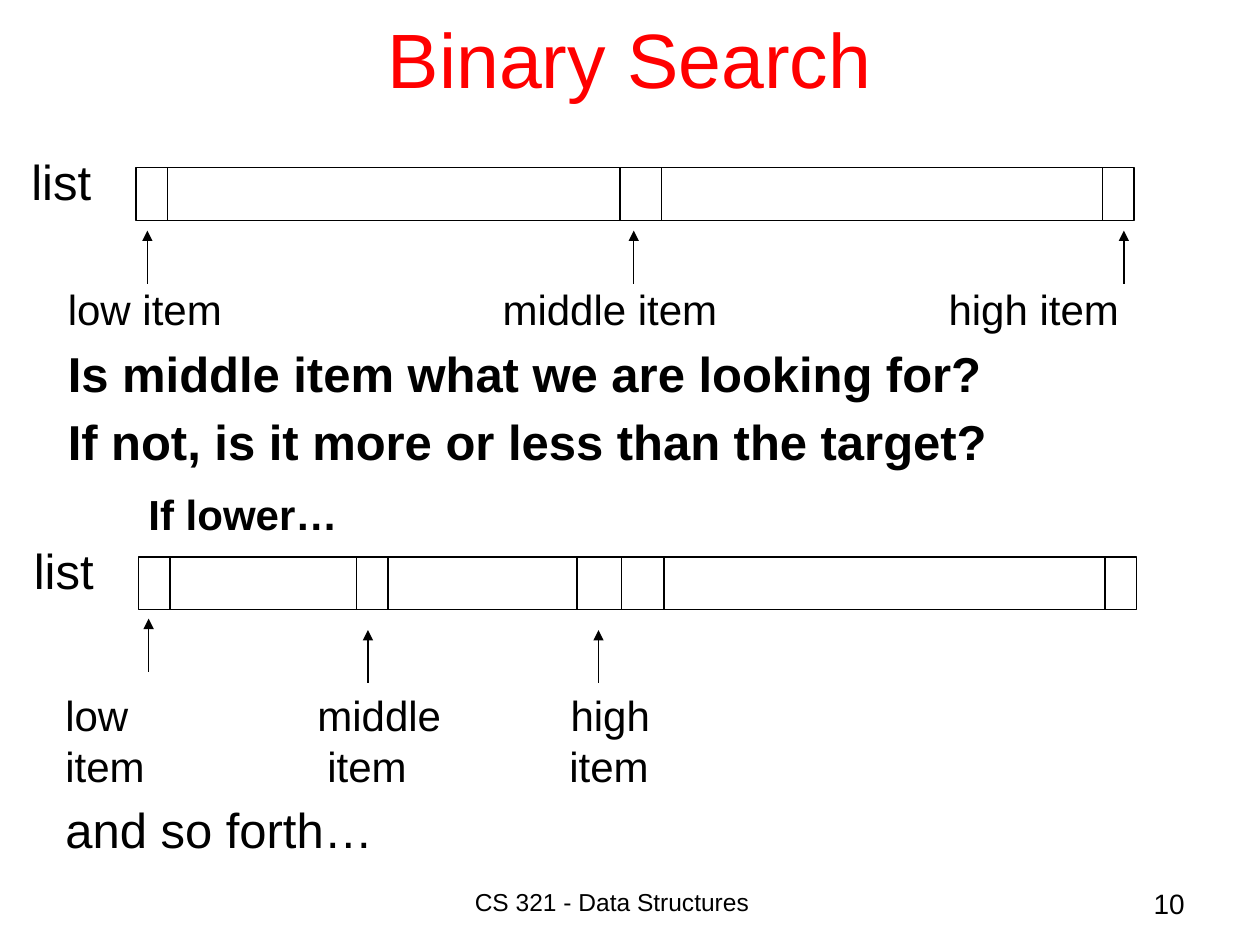
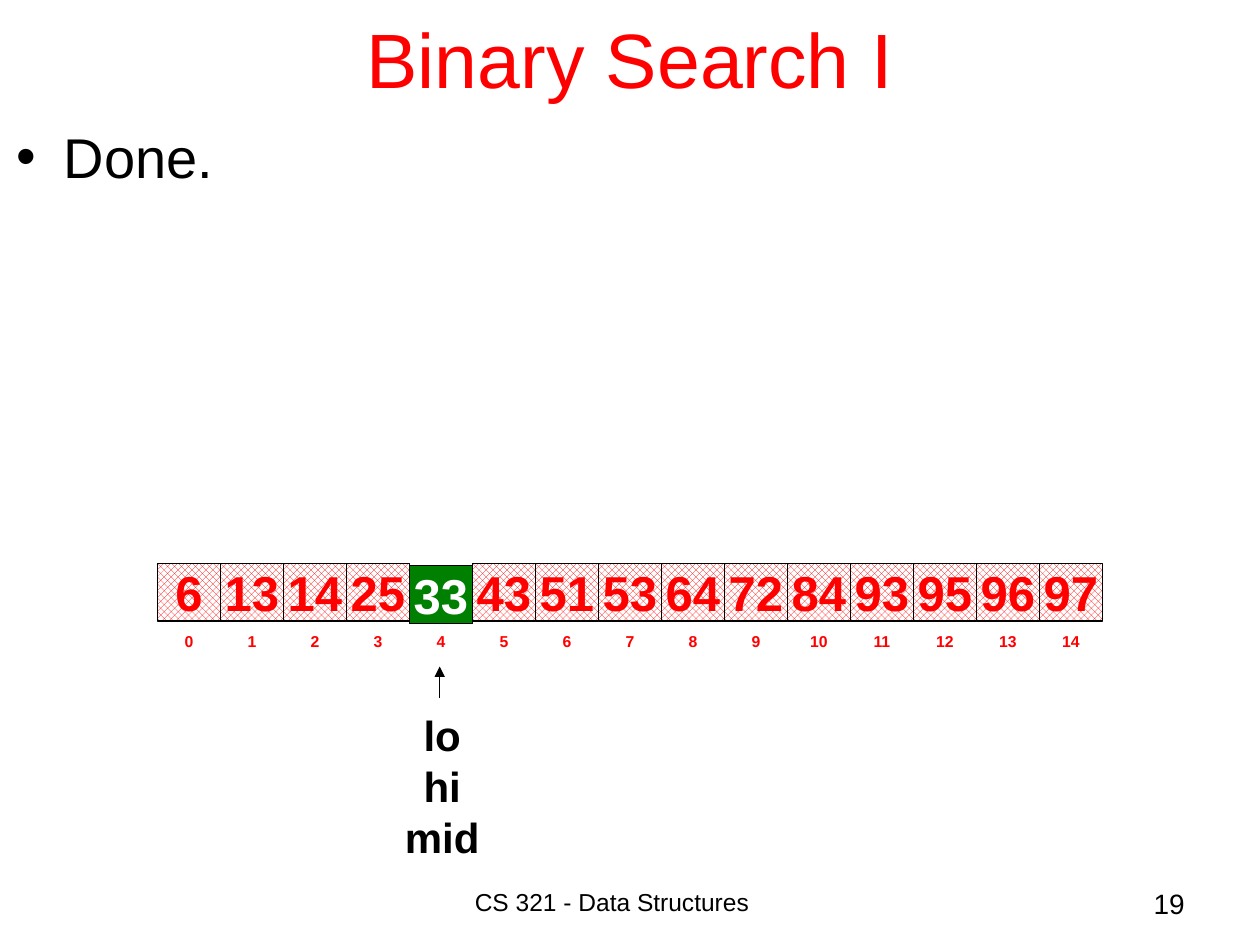
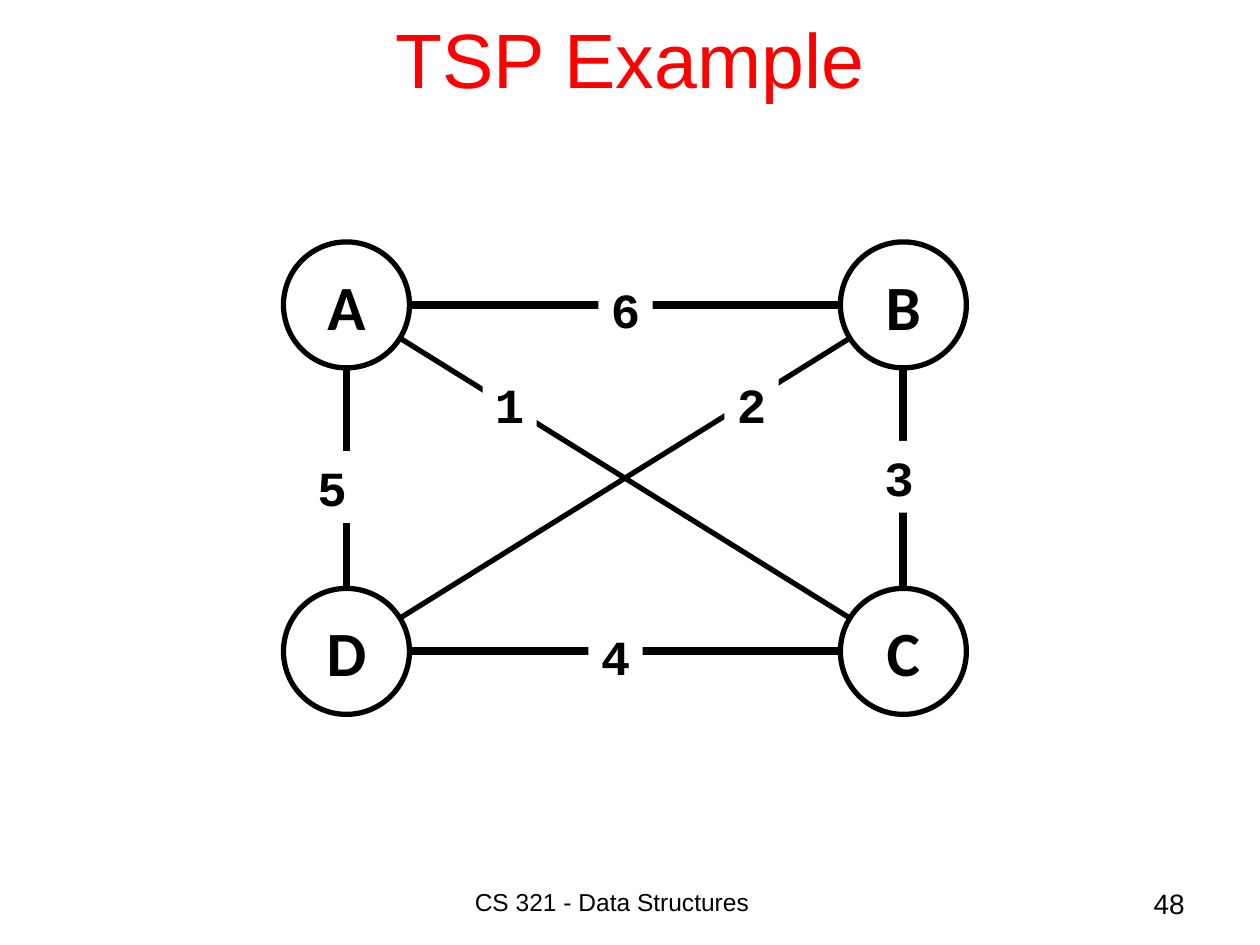
from lxml.etree import SubElement
from pptx import Presentation
from pptx.dml.color import RGBColor
from pptx.enum.dml import MSO_PATTERN
from pptx.enum.shapes import MSO_CONNECTOR, MSO_SHAPE
from pptx.enum.text import MSO_ANCHOR, PP_ALIGN
from pptx.oxml.ns import qn
from pptx.util import Inches, Pt

BLACK = RGBColor(0x00, 0x00, 0x00)
WHITE = RGBColor(0xFF, 0xFF, 0xFF)
RED = RGBColor(0xFF, 0x00, 0x00)
GREEN = RGBColor(0x00, 0x80, 0x00)
LEFT, CENTER, RIGHT = PP_ALIGN.LEFT, PP_ALIGN.CENTER, PP_ALIGN.RIGHT
TOP, MIDDLE = MSO_ANCHOR.TOP, MSO_ANCHOR.MIDDLE
FONT = "Arial"


def add_box(slide, place, text="", size=24, color=BLACK, bold=False, font=FONT, align=LEFT,
            anchor=TOP, wrap=False, kind=None, fill=None, line=None, width=0.75):
    """Add a text box, or a preset shape when a kind is given."""
    place = [Inches(length) for length in place]
    if kind is None:
        box = slide.shapes.add_textbox(*place)
    else:
        box = slide.shapes.add_shape(kind, *place)
        box.shadow.inherit = False
        if fill is None:
            box.fill.background()
        else:
            box.fill.solid()
            box.fill.fore_color.rgb = fill
        if line is None:
            box.line.fill.background()
        else:
            box.line.color.rgb = line
            box.line.width = Pt(width)
    frame = box.text_frame
    frame.text = text
    frame.word_wrap = wrap
    frame.vertical_anchor = anchor
    for para in frame.paragraphs:
        para.alignment = align
        para.font.size = Pt(size)
        for span in para.runs:
            span.font.size = Pt(size)
            span.font.name = font
            span.font.bold = bold
            span.font.color.rgb = color
    return box


def add_line(slide, x1, y1, x2, y2, width=0.75, arrow=False):
    line = slide.shapes.add_connector(
        MSO_CONNECTOR.STRAIGHT, Inches(x1), Inches(y1), Inches(x2), Inches(y2))
    line.line.color.rgb = BLACK
    line.line.width = Pt(width)
    properties = line.element.spPr
    if arrow:
        SubElement(properties.find(qn("a:ln")), qn("a:tailEnd"), type="triangle")
    SubElement(properties, qn("a:effectLst"))


deck = Presentation()
deck.slide_width, deck.slide_height = Inches(10), Inches(7.5)

# Titles, footers and page numbers
slides = []
for heading, number in (("Binary Search", 10), ("Binary Search I", 19), ("TSP Example", 48)):
    slide = deck.slides.add_slide(deck.slide_layouts[5])
    title = slide.shapes.title
    title.left, title.top = Inches(0.75), Inches(-0.17)
    title.width, title.height = Inches(8.5), Inches(1.25)
    title.text_frame.text = heading
    title.text_frame.vertical_anchor = MIDDLE
    para = title.text_frame.paragraphs[0]
    para.alignment = CENTER
    span = para.runs[0]
    span.font.size, span.font.name, span.font.color.rgb = Pt(44), FONT, RED
    add_box(slide, (3.67, 6.99, 3.33, 0.5), "CS 321 - Data Structures", 14, wrap=True)
    add_box(slide, (7.42, 6.99, 2.08, 0.5), str(number), 16, align=RIGHT, wrap=True)
    slides.append(slide)
halving, finished, tour = slides

# Binary search: the list bars with their dividers and arrows
bars = (
    (1.08, 1.33, (1.33, 4.92, 5.25, 8.75), ((1.17, 2.25), (5.03, 2.25), (8.92, 2.25))),
    (1.1, 4.42, (1.35, 2.83, 3.08, 4.58, 4.93, 5.27, 8.77),
     ((1.18, 5.33), (2.92, 5.42), (4.75, 5.42))),
)
for left, top, dividers, arrows in bars:
    add_box(halving, (left, top, 7.92, 0.42), kind=MSO_SHAPE.RECTANGLE, line=BLACK)
    add_box(halving, (left - 0.93, top - 0.18, 0.68, 0.57), "list", 28)
    for x in dividers:
        add_line(halving, x, top, x, top + 0.42)
    for x, y in arrows:
        add_line(halving, x, y, x, y - 0.42, arrow=True)

# Binary search: text, each line as (text, size, bold, space before, indent, tab stops)
notes = (
    ((0.44, 2.2, 8.9, 2.2), (
        ("low item\tmiddle item\thigh item", 24, False, 0, 0, (3.45, 6.99)),
        ("Is middle item what we are looking for?", 28, True, 5, 0, ()),
        ("If not, is it more or less than the target?", 28, True, 5, 0, ()),
        ("If lower…", 24, True, 10, 0.64, ()))),
    ((0.42, 5.42, 4.98, 1.47), (
        ("low\tmiddle\thigh", 24, False, 0, 0, (2, 4.01)),
        ("item\titem\titem", 24, False, 0, 0, (2.08, 4)),
        ("and so forth…", 28, False, 5, 0, ()))),
)
for place, lines in notes:
    box = add_box(halving, place, "\n".join(line[0] for line in lines), wrap=True)
    for para, (_, size, bold, before, indent, stops) in zip(box.text_frame.paragraphs, lines):
        para.space_before = Pt(before)
        para.line_spacing = Pt(round(size * 1.21))
        for span in para.runs:
            span.font.size, span.font.bold = Pt(size), bold
        properties = para._p.get_or_add_pPr()
        properties.set("marL", str(Inches(indent)))
        if stops:
            tabs = SubElement(properties, qn("a:tabLst"))
            for stop in stops:
                SubElement(tabs, qn("a:tab"), pos=str(Inches(stop)), algn="l")
            defaults = properties.find(qn("a:defRPr"))
            if defaults is not None:
                properties.append(defaults)

# Finished search: bullet
box = add_box(finished, (0.03, 0.92, 9.97, 1), "Done.", 32, wrap=True)
properties = box.text_frame.paragraphs[0]._p.get_or_add_pPr()
properties.set("marL", str(Inches(0.38)))
properties.set("indent", str(Inches(-0.38)))
SubElement(properties, qn("a:buFont"), typeface=FONT)
SubElement(properties, qn("a:buChar"), char="•")
defaults = properties.find(qn("a:defRPr"))
if defaults is not None:
    properties.append(defaults)

# Finished search: array cells with their indexes
values = (6, 13, 14, 25, 33, 43, 51, 53, 64, 72, 84, 93, 95, 96, 97)
FOUND = 4
for index, value in enumerate(values):
    left = 1.25 + 0.5 * index
    found = index == FOUND
    add_box(finished, (left, 4.98, 0.5, 0.21), str(index), 9, RED, True, align=CENTER,
            anchor=MIDDLE, kind=MSO_SHAPE.RECTANGLE, line=WHITE)
    cell = add_box(finished, (left, 4.49 if found else 4.47, 0.5, 0.46), str(value), 28,
                   WHITE if found else RED, True, align=CENTER, anchor=MIDDLE,
                   kind=MSO_SHAPE.RECTANGLE, fill=GREEN, line=BLACK)
    if not found:
        cell.fill.patterned()
        cell.fill.pattern = MSO_PATTERN.OUTLINED_DIAMOND
        cell.fill.fore_color.rgb = RED
        cell.fill.back_color.rgb = WHITE

# Finished search: pointer
add_line(finished, 3.49, 5.54, 3.49, 5.29, arrow=True)
pointers = add_box(finished, (3.11, 5.58, 0.8, 1.31), "lo\nhi\nmid", 24, bold=True, align=CENTER)
for para in pointers.text_frame.paragraphs:
    para.line_spacing = Pt(29)

# TSP graph: edges
WEST, EAST, NORTH, SOUTH = 2.75, 7.17, 2.42, 5.17
add_line(tour, WEST, NORTH, EAST, SOUTH, width=3)
add_line(tour, EAST, NORTH, WEST, SOUTH, width=3)
add_box(tour, (WEST, NORTH, EAST - WEST, SOUTH - NORTH), kind=MSO_SHAPE.RECTANGLE,
        line=BLACK, width=4.5)

# TSP graph: cities
for city, x, y in (("A", WEST, NORTH), ("B", EAST, NORTH), ("C", EAST, SOUTH), ("D", WEST, SOUTH)):
    add_box(tour, (x - 0.5, y - 0.5, 1, 1), city, 36, bold=True, font="Calibri", align=CENTER,
            anchor=MIDDLE, kind=MSO_SHAPE.OVAL, fill=WHITE, line=BLACK, width=3)

# TSP graph: distances
distances = (("4", 4.67, 4.92), ("6", 4.75, 2.17), ("3", 6.92, 3.5),
             ("5", 2.42, 3.58), ("1", 3.83, 2.92), ("2", 5.75, 2.92))
for distance, x, y in distances:
    add_box(tour, (x, y, 0.43, 0.57), distance, 28, bold=True, font="Courier New",
            kind=MSO_SHAPE.RECTANGLE, fill=WHITE)

deck.save("out.pptx")
